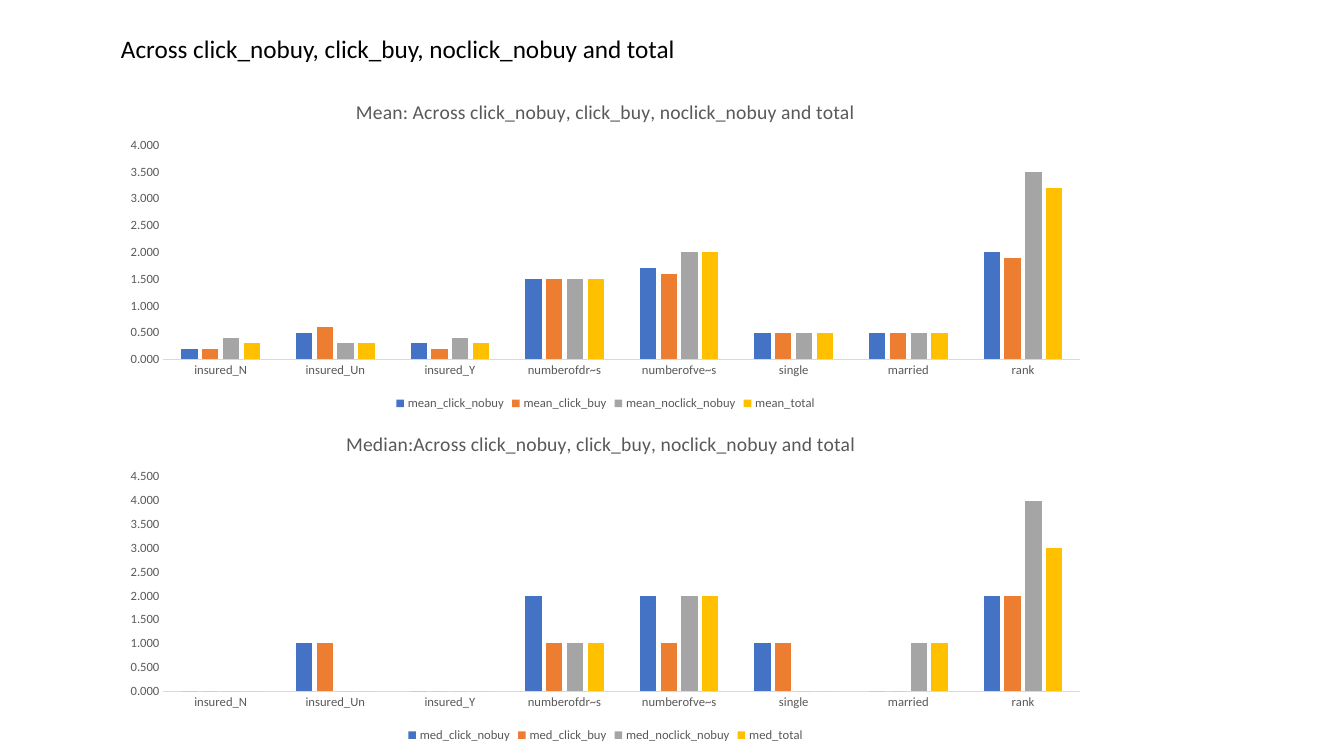
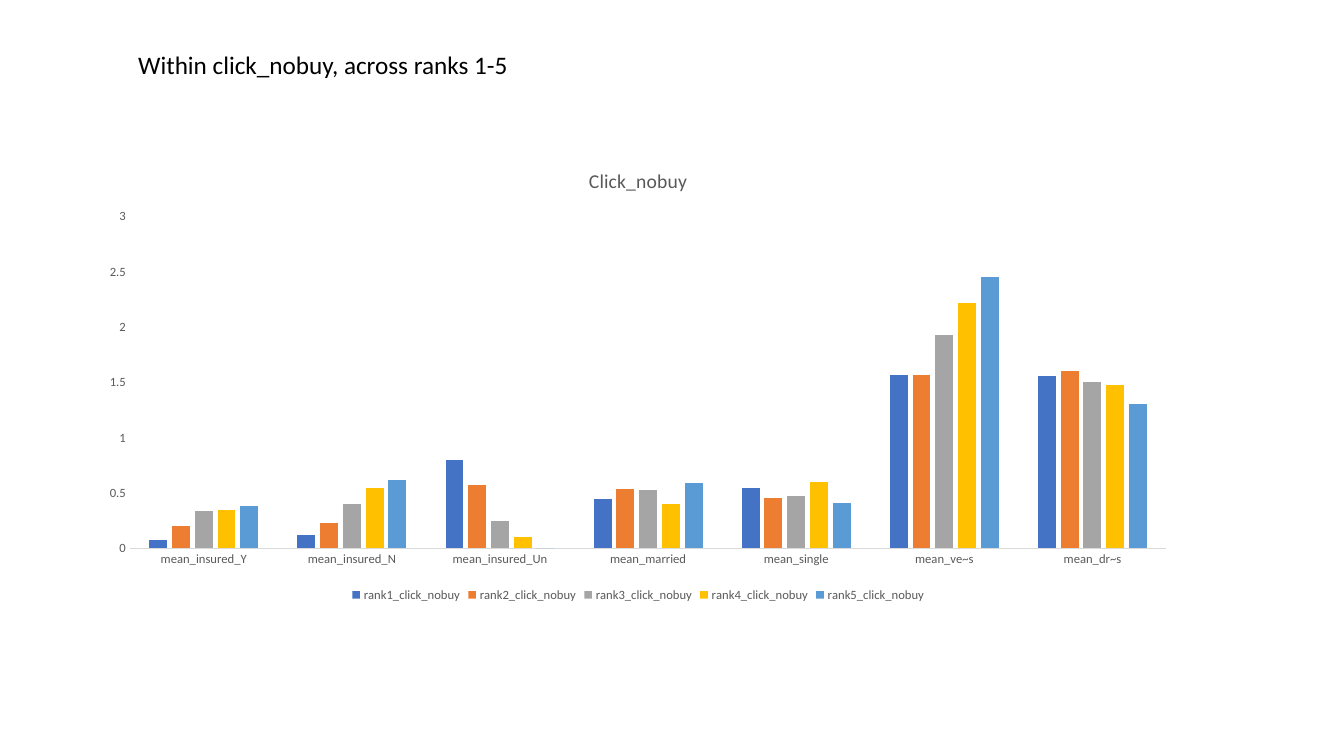
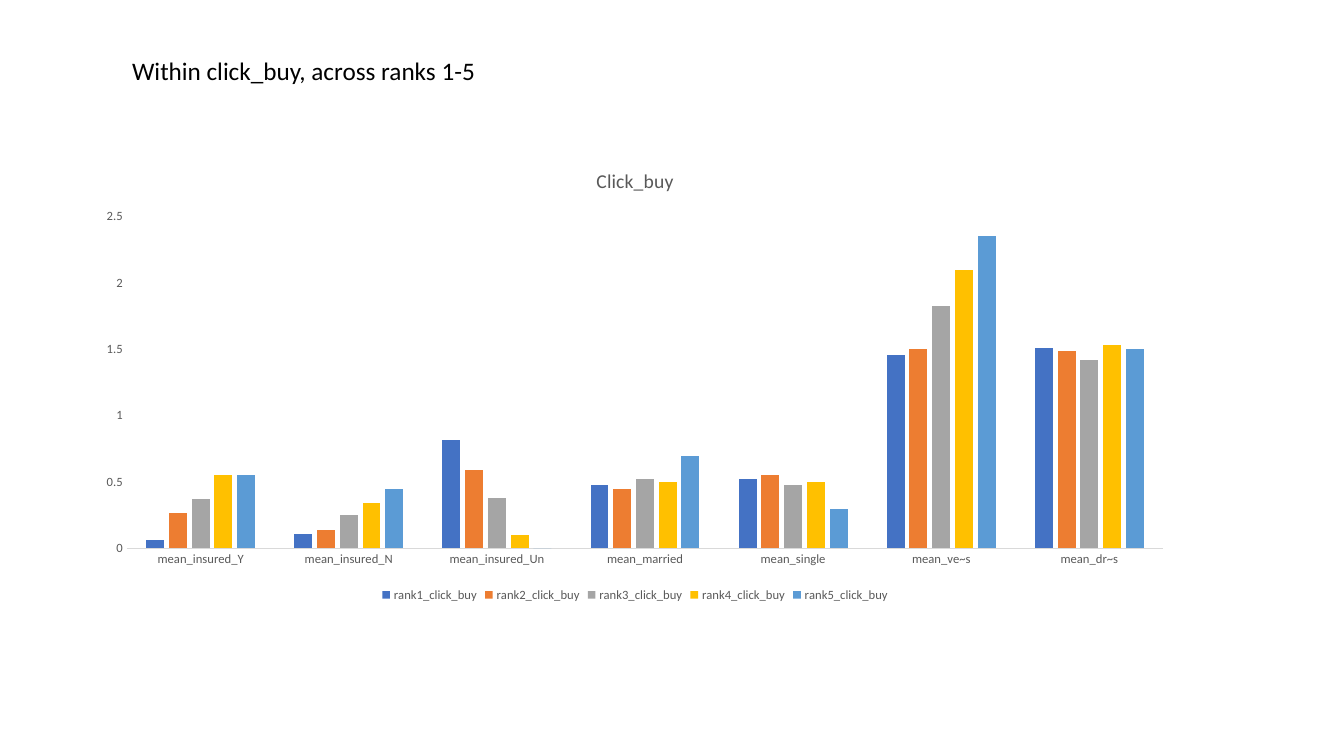
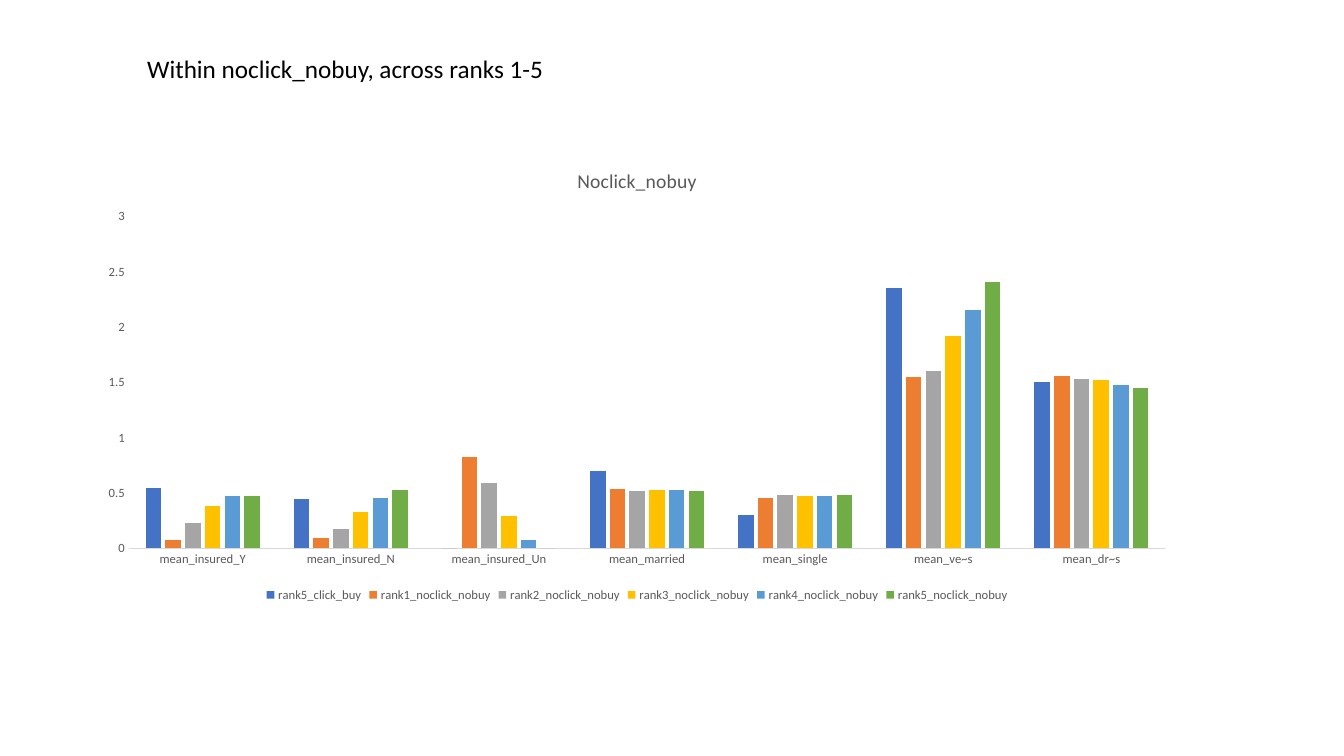
"""Build four slides comparing click and purchase groups in clustered column charts."""
from pptx import Presentation, util as u
from pptx.chart.data import CategoryChartData
from pptx.dml.color import RGBColor
from pptx.enum import chart as ch, text as t

COLORS = {"title": "000000", "label": "595959", "axis": "D9D9D9"}
SERIES_COLORS = ["4472C4", "ED7D31", "A5A5A5", "FFC000", "5B9BD5", "70AD47"]
FONT = "Calibri"

prs = Presentation()
prs.slide_width, prs.slide_height = u.Inches(13.33), u.Inches(7.5)


def place(left, top, width, height):
    """Turn percentages of the slide into a position and a size."""
    across, down = prs.slide_width / 100, prs.slide_height / 100
    return [round(v) for v in (left * across, top * down, width * across, height * down)]


def style(font, size, color):
    """Give a font the shared typeface, a size and a colour."""
    font.name, font.size, font.bold = FONT, u.Pt(size), False
    font.color.rgb = RGBColor.from_string(COLORS[color])


profile = ["insured_N", "insured_Un", "insured_Y", "numberofdr~s",
           "numberofve~s", "single", "married", "rank"]
rank_profile = ["mean_insured_Y", "mean_insured_N", "mean_insured_Un", "mean_married",
                "mean_single", "mean_ve~s", "mean_dr~s"]

means = {
    "mean_click_nobuy": [0.2, 0.5, 0.3, 1.5, 1.7, 0.5, 0.5, 2],
    "mean_click_buy": [0.2, 0.6, 0.2, 1.5, 1.6, 0.5, 0.5, 1.9],
    "mean_noclick_nobuy": [0.4, 0.3, 0.4, 1.5, 2, 0.5, 0.5, 3.5],
    "mean_total": [0.3, 0.3, 0.3, 1.5, 2, 0.5, 0.5, 3.2],
}
medians = {
    "med_click_nobuy": [0, 1, 0, 2, 2, 1, 0, 2],
    "med_click_buy": [0, 1, 0, 1, 1, 1, 0, 2],
    "med_noclick_nobuy": [0, 0, 0, 1, 2, 0, 1, 4],
    "med_total": [0, 0, 0, 1, 2, 0, 1, 3],
}
click_nobuy = {
    "rank1_click_nobuy": [0.08, 0.12, 0.8, 0.45, 0.55, 1.57, 1.56],
    "rank2_click_nobuy": [0.2, 0.23, 0.57, 0.54, 0.46, 1.57, 1.6],
    "rank3_click_nobuy": [0.34, 0.4, 0.25, 0.53, 0.47, 1.93, 1.5],
    "rank4_click_nobuy": [0.35, 0.55, 0.1, 0.4, 0.6, 2.22, 1.48],
    "rank5_click_nobuy": [0.38, 0.62, 0, 0.59, 0.41, 2.45, 1.31],
}
click_buy = {
    "rank1_click_buy": [0.06, 0.11, 0.82, 0.48, 0.52, 1.46, 1.51],
    "rank2_click_buy": [0.27, 0.14, 0.59, 0.45, 0.55, 1.5, 1.49],
    "rank3_click_buy": [0.37, 0.25, 0.38, 0.52, 0.48, 1.83, 1.42],
    "rank4_click_buy": [0.55, 0.34, 0.1, 0.5, 0.5, 2.1, 1.53],
    "rank5_click_buy": [0.55, 0.45, 0, 0.7, 0.3, 2.35, 1.5],
}
noclick_nobuy = {
    "rank5_click_buy": click_buy["rank5_click_buy"],
    "rank1_noclick_nobuy": [0.08, 0.09, 0.83, 0.54, 0.46, 1.55, 1.56],
    "rank2_noclick_nobuy": [0.23, 0.18, 0.59, 0.52, 0.48, 1.6, 1.53],
    "rank3_noclick_nobuy": [0.38, 0.33, 0.29, 0.53, 0.47, 1.92, 1.52],
    "rank4_noclick_nobuy": [0.47, 0.46, 0.08, 0.53, 0.47, 2.16, 1.48],
    "rank5_noclick_nobuy": [0.47, 0.53, 0, 0.52, 0.48, 2.41, 1.45],
}

groups = "Across click_nobuy, click_buy, noclick_nobuy and total"
title_height = 5.33
half_top, half_height = 11, 43.87
rank_top, rank_width, rank_height = 19.8, 81.9, 60.4

slides = [
    (groups, (8.25, 3.73, 43.2), profile, "0.000", [
        ("Mean: " + groups, (8.25, half_top, 73.6, half_height), means, 4),
        ("Median:" + groups + "  ", (8.25, half_top + half_height, 73.6, half_height),
         medians, 4.5)]),
    ("Within click_nobuy, across ranks 1-5", (9.53, 5.87, 29.33), rank_profile, "General", [
        ("Click_nobuy", (6.53, rank_top, rank_width, rank_height), click_nobuy, 3)]),
    ("Within click_buy, across ranks 1-5", (9.08, 6.67, 27.3), rank_profile, "General", [
        ("Click_buy", (6.3, rank_top, rank_width, rank_height), click_buy, 2.5)]),
    ("Within noclick_nobuy, across ranks 1-5", (10.2, 6.4, 31.28), rank_profile, "General", [
        ("Noclick_nobuy", (6.45, rank_top, rank_width, rank_height), noclick_nobuy, 3)]),
]

for heading, heading_area, categories, number_format, charts in slides:
    slide = prs.slides.add_slide(prs.slide_layouts[5])
    title = slide.shapes.title
    title.left, title.top, title.width, title.height = place(*heading_area, title_height)
    frame = title.text_frame
    frame.text = heading
    frame.word_wrap = False
    frame.auto_size = t.MSO_AUTO_SIZE.SHAPE_TO_FIT_TEXT
    frame.vertical_anchor = t.MSO_ANCHOR.TOP
    frame.paragraphs[0].alignment = t.PP_ALIGN.LEFT
    style(frame.paragraphs[0].runs[0].font, 18, "title")

    for caption, area, values_by_group, top_value in charts:
        data = CategoryChartData(number_format=number_format)
        data.categories = categories
        for group, values in values_by_group.items():
            data.add_series(group, values)
        chart = slide.shapes.add_chart(
            ch.XL_CHART_TYPE.COLUMN_CLUSTERED, *place(*area), data).chart
        style(chart.font, 10, "title")

        chart.has_title = True
        chart.chart_title.include_in_layout = False
        chart.chart_title.text_frame.text = caption
        style(chart.chart_title.text_frame.paragraphs[0].runs[0].font, 14, "label")

        chart.has_legend = True
        chart.legend.position = ch.XL_LEGEND_POSITION.BOTTOM
        chart.legend.include_in_layout = False
        style(chart.legend.font, 9, "label")

        for axis in (chart.category_axis, chart.value_axis):
            axis.has_major_gridlines = False
            axis.major_tick_mark = axis.minor_tick_mark = ch.XL_TICK_MARK.NONE
            style(axis.tick_labels.font, 9, "label")
        base_line = chart.category_axis.format.line
        base_line.color.rgb = RGBColor.from_string(COLORS["axis"])
        base_line.width = u.Pt(0.75)
        scale = chart.value_axis
        scale.format.line.fill.background()
        scale.minimum_scale, scale.maximum_scale, scale.major_unit = 0, top_value, 0.5
        scale.tick_labels.number_format = number_format
        scale.tick_labels.number_format_is_linked = False

        plot = chart.plots[0]
        plot.gap_width, plot.overlap, plot.vary_by_categories = 219, -27, False
        for columns, color in zip(plot.series, SERIES_COLORS):
            columns.format.fill.solid()
            columns.format.fill.fore_color.rgb = RGBColor.from_string(color)

prs.save("out.pptx")
